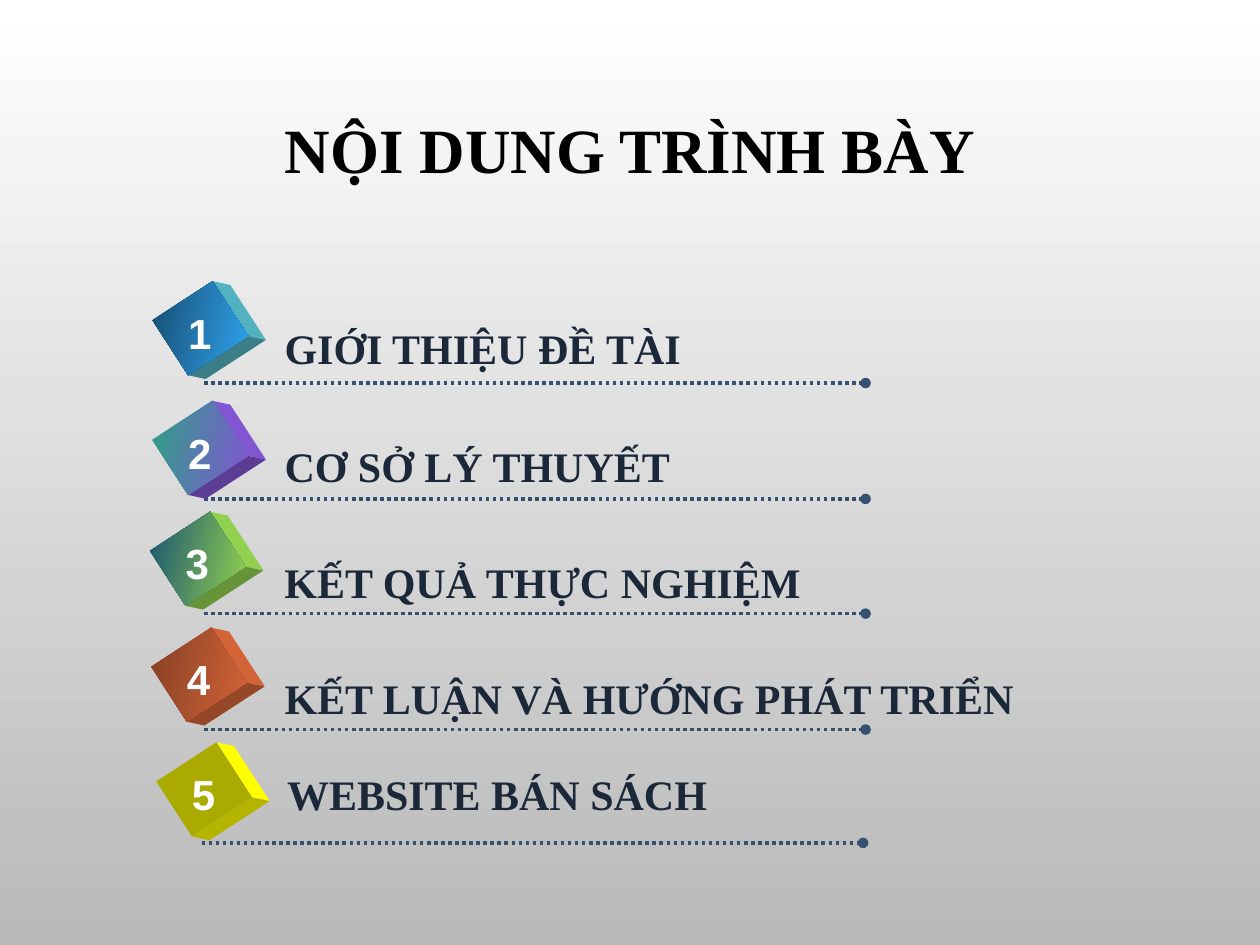
from math import cos, radians, sin

from lxml import etree
from pptx import Presentation
from pptx import util as u
from pptx.dml.color import RGBColor
from pptx.enum import dml, shapes, text
from pptx.oxml.ns import qn

SERIF, SANS = "Times New Roman", "Arial"
INK, RULE = "1A2839", "355071"
CUBE_W, CUBE_H, TILT = 0.52, 0.57, 57
DEPTH = (0.14, 0.03)
LINE_HEIGHT = 0.5
RULE_LENGTH = 5.25

# label, label left, top and width, cube left and top, rule left and top, front colours, side colour
ITEMS = [
    ("GIỚI THIỆU ĐỀ TÀI", (2.16, 2.51, 3.38), (1.33, 2.32), (1.62, 3.04),
     ("174E72", "2FA3EE"), "53B2BF"),
    ("CƠ SỞ LÝ THUYẾT", (2.16, 3.45, 3.29), (1.33, 3.27), (1.62, 3.96),
     ("2FA087", "8255D2"), "8255D2"),
    ("KẾT QUẢ THỰC NGHIỆM", (2.16, 4.37, 4.34), (1.31, 4.15), (1.62, 4.87),
     ("1B5572", "92D050"), "92D050"),
    ("KẾT LUẬN VÀ HƯỚNG PHÁT TRIỂN", (2.16, 5.29, 6.05), (1.32, 5.07), (1.62, 5.79),
     ("864024", "D36438"), "D36438"),
    ("WEBSITE BÁN SÁCH", (2.18, 6.05, 4.69), (1.36, 5.98), (1.60, 6.69),
     ("AAAA00", "AAAA00"), "FFFF00"),
]


def colour(value):
    return RGBColor.from_string(value)


def darker(value, share=0.71):
    return "".join(f"{round(int(value[i:i + 2], 16) * share):02X}" for i in (0, 2, 4))


def fill_gradient(fill, first, last, angle):
    fill.gradient()
    fill.gradient_angle = angle
    for stop, value in zip(fill.gradient_stops, (first, last)):
        stop.color.rgb = colour(value)


def style(para, font, size, value, align):
    para.alignment = align
    for span in para.runs:
        span.font.name, span.font.size, span.font.bold = font, u.Pt(size), True
        span.font.color.rgb = colour(value)


def add_label(page, box, words, font, value, align):
    label = page.shapes.add_textbox(*map(u.Inches, box))
    frame = label.text_frame
    frame.text = words
    frame.word_wrap = False
    frame.auto_size = text.MSO_AUTO_SIZE.SHAPE_TO_FIT_TEXT
    style(frame.paragraphs[0], font, 24, value, align)


def add_title(page, box, words):
    title = page.shapes.title
    title.left, title.top, title.width, title.height = map(u.Inches, box)
    frame = title.text_frame
    frame.text = words
    frame.vertical_anchor = text.MSO_ANCHOR.MIDDLE
    frame.paragraphs[0].line_spacing = 0.9
    style(frame.paragraphs[0], SERIF, 36, "000000", text.PP_ALIGN.CENTER)


def add_rule(page, left, top, length):
    rule = page.shapes.add_connector(
        shapes.MSO_CONNECTOR.STRAIGHT,
        *map(u.Inches, (left, top, left + length, top)))
    rule.line.color.rgb = colour(RULE)
    rule.line.width = u.Pt(2)
    rule.line.dash_style = dml.MSO_LINE.ROUND_DOT
    line = rule.line._get_or_add_ln()
    etree.SubElement(line, qn("a:tailEnd"), type="oval")
    etree.SubElement(rule._element.spPr, qn("a:effectLst"))


def add_side(page, start, end, value):
    """One side of a cube, drawn from an edge of its front towards the back."""
    back = [(x + DEPTH[0], y + DEPTH[1]) for x, y in (end, start)]
    points = [(u.Inches(x), u.Inches(y)) for x, y in (start, end, *back)]
    builder = page.shapes.build_freeform(*points[0])
    builder.add_line_segments(points[1:], close=True)
    side = builder.convert_to_shape()
    side.shadow.inherit = False
    side.fill.solid()
    side.fill.fore_color.rgb = colour(value)
    side.line.fill.background()


def add_cube(page, box, number, front_colours, side_colour):
    left, top, width, height = box
    turn = radians(TILT)

    def corner(across, down):
        x, y = across * width / 2, down * height / 2
        return (left + width / 2 + x * cos(turn) - y * sin(turn),
                top + height / 2 + x * sin(turn) + y * cos(turn))

    # Sides
    add_side(page, corner(-1, -1), corner(1, -1), side_colour)
    add_side(page, corner(1, -1), corner(1, 1), darker(side_colour))
    # Front
    front = page.shapes.add_shape(shapes.MSO_SHAPE.RECTANGLE, *map(u.Inches, box))
    front.rotation = TILT
    front.shadow.inherit = False
    fill_gradient(front.fill, *front_colours, 45)
    front.line.fill.background()
    # Number
    add_label(page, (left + 0.06, top + 0.07, 0.39, LINE_HEIGHT), str(number),
              SANS, "FFFFFF", text.PP_ALIGN.CENTER)


def add_agenda(page, items):
    for number, (words, label, cube, rule, front, side) in enumerate(items, 1):
        add_rule(page, *rule, RULE_LENGTH)
        add_cube(page, (*cube, CUBE_W, CUBE_H), number, front, side)
        add_label(page, (*label, LINE_HEIGHT), words, SERIF, INK, text.PP_ALIGN.LEFT)


def main():
    deck = Presentation()
    deck.slide_width, deck.slide_height = u.Inches(10), u.Inches(7.5)
    page = deck.slides.add_slide(deck.slide_layouts[5])
    fill_gradient(page.background.fill, "FFFFFF", "B9B9B9", 270)
    add_title(page, (0.5, 0.79, 9, 0.85), "NỘI DUNG TRÌNH BÀY")
    add_agenda(page, ITEMS)
    deck.save("out.pptx")


if __name__ == "__main__":
    main()
